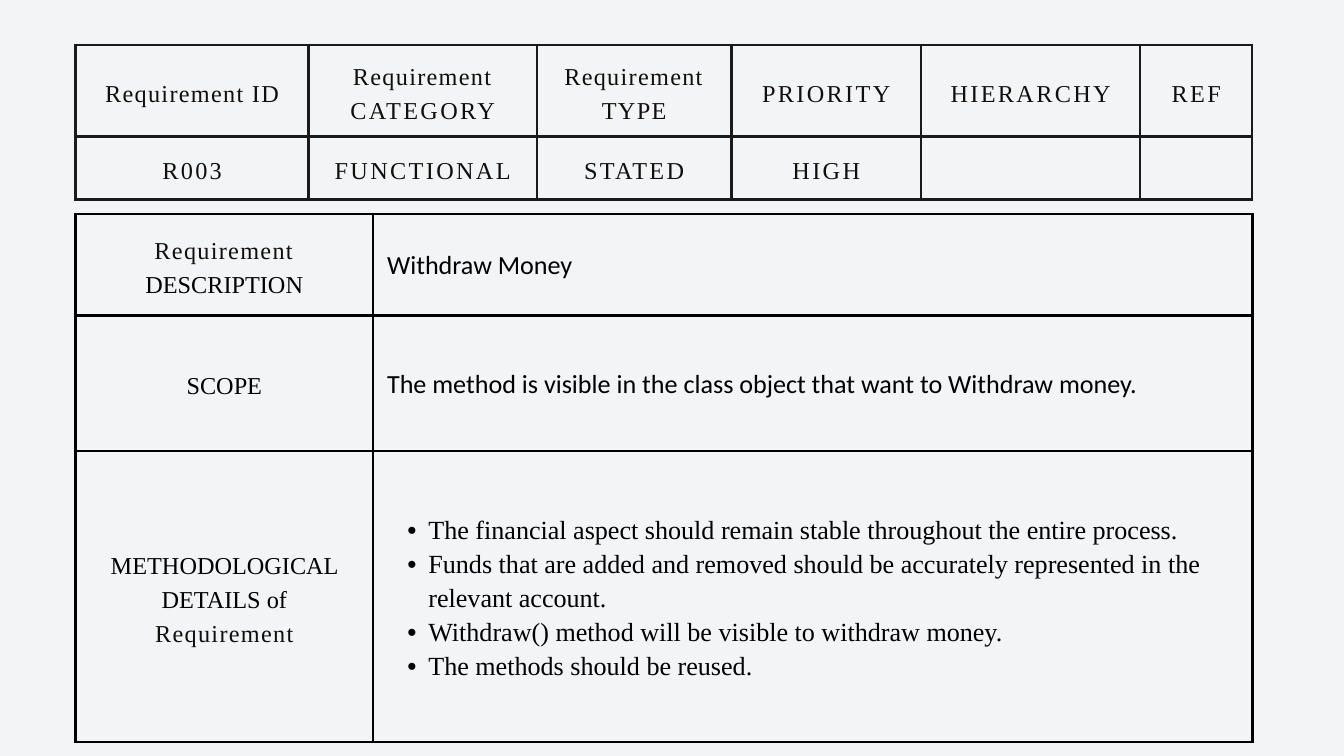
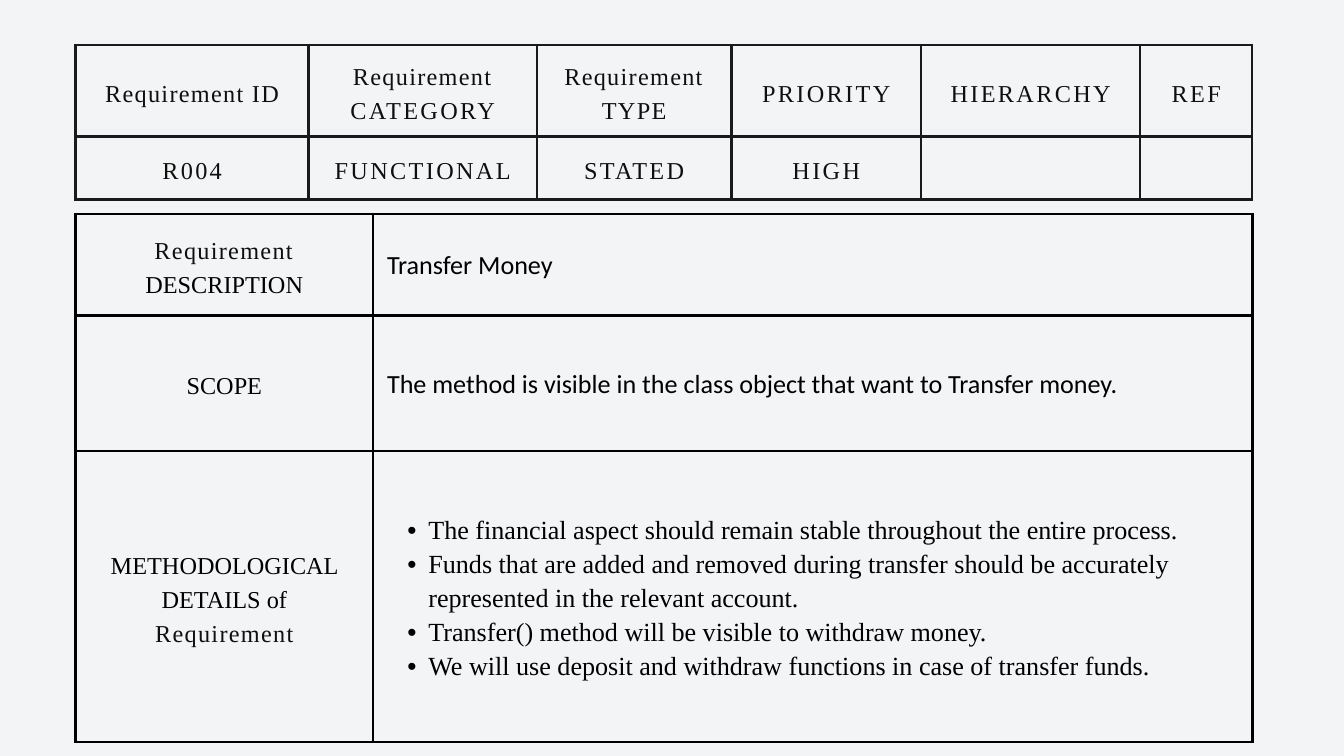
"""Build two requirement slides, each with a summary table above a details table."""
from dataclasses import dataclass

from lxml import etree
from pptx import Presentation, util as u
from pptx.dml.color import RGBColor
from pptx.enum import text
from pptx.oxml.ns import qn


@dataclass(frozen=True)
class Theme:
    """Colours, fonts and type sizes shared by the slides."""
    background: str = "F2F4F5"
    ink: str = "100F0D"
    caption: str = "010101"
    black: str = "000000"
    summary_border: str = "1A1A1A"
    border_width: int = 3
    serif: str = "Times New Roman"
    sans: str = "Calibri"
    label_size: int = 26
    body_size: int = 28
    line_spacing: float = 36.4
    word_tracking: int = 140
    caps_tracking: int = 250


THEME = Theme()
EMU_PER_PX = 9525
SLIDE_SIZE = 1920, 1080
TABLE_LEFT = 108
SUMMARY_TOP, DETAILS_TOP = 64, 306
SUMMARY_COLUMNS, SUMMARY_ROWS = (333, 326, 278, 271, 313, 160), (131, 90)
DETAILS_COLUMNS, DETAILS_ROWS = (425, 1256), (145, 193, 416)
SUMMARY_INSET, DETAILS_INSET = 12, 20
BULLET_MARGIN, BULLET_HANG = 59, 30

REQUIREMENTS = (
    ("R003", "Withdraw Money",
     "The method is visible in the class object that want to Withdraw money.",
     ("The financial aspect should remain stable throughout the entire process.",
      "Funds that are added and removed should be accurately represented in the relevant account.",
      "Withdraw() method will be visible to withdraw money.",
      "The methods should be reused.")),
    ("R004", "Transfer Money",
     "The method is visible in the class object that want to Transfer money.",
     ("The financial aspect should remain stable throughout the entire process.",
      "Funds that are added and removed during transfer should be accurately represented in the relevant account.",
      "Transfer() method will be visible to withdraw money.",
      "We will use deposit and withdraw functions in case of transfer funds.")),
)


def px(length):
    """Turn px into EMU."""
    return u.Emu(length * EMU_PER_PX)


def words(content):
    """Describe a run in lightly tracked ink."""
    return content, THEME.ink, THEME.word_tracking


def caps(content):
    """Describe a run in widely tracked ink."""
    return content, THEME.ink, THEME.caps_tracking


def plain(content, colour=THEME.black):
    """Describe a run without tracking."""
    return content, colour, 0


def add_border(cell, colour):
    """Draw the four borders of a cell."""
    properties = cell._tc.get_or_add_tcPr()
    for side in ("a:lnL", "a:lnR", "a:lnT", "a:lnB"):
        line = etree.SubElement(properties, qn(side), w=str(u.Pt(THEME.border_width)))
        fill = etree.SubElement(line, qn("a:solidFill"))
        etree.SubElement(fill, qn("a:srgbClr"), val=colour)


def add_table(slide, top, columns, rows, inset, border):
    """Add an unfilled, bordered table and return it."""
    table = slide.shapes.add_table(len(rows), len(columns), px(TABLE_LEFT), px(top),
                                   px(sum(columns)), px(sum(rows))).table
    table.first_row = table.horz_banding = False
    for column, width in zip(table.columns, columns):
        column.width = px(width)
    for row, height in zip(table.rows, rows):
        row.height = px(height)
    for cell in table.iter_cells():
        cell.margin_left = cell.margin_right = px(inset)
        cell.margin_top = cell.margin_bottom = px(inset)
        cell.vertical_anchor = text.MSO_ANCHOR.MIDDLE
        add_border(cell, border)
        cell.fill.background()
    return table


def write_paragraph(paragraph, runs, font=THEME.serif, size=THEME.label_size,
                    align=text.PP_ALIGN.CENTER):
    """Write runs into a paragraph with one font and size."""
    paragraph.alignment = align
    paragraph.line_spacing = u.Pt(THEME.line_spacing)
    paragraph.font.name = font
    paragraph.font.size = u.Pt(size)
    for content, colour, tracking in runs:
        run = paragraph.add_run()
        run.text = content
        run.font.color.rgb = RGBColor.from_string(colour)
        run._r.get_or_add_rPr().set("spc", str(tracking))


def write_label(cell, *runs):
    """Write a centred label."""
    write_paragraph(cell.text_frame.paragraphs[0], runs)


def write_body(paragraph, content, font=THEME.sans):
    """Write a left-aligned statement."""
    write_paragraph(paragraph, [plain(content)], font, THEME.body_size, text.PP_ALIGN.LEFT)


def write_bullets(cell, items):
    """Write a bulleted list."""
    frame = cell.text_frame
    for index, item in enumerate(items):
        paragraph = frame.add_paragraph() if index else frame.paragraphs[0]
        paragraph.level = 1
        properties = paragraph._p.get_or_add_pPr()
        properties.set("marL", str(px(BULLET_MARGIN)))
        properties.set("indent", str(px(-BULLET_HANG)))
        write_body(paragraph, item, THEME.serif)
        bullet_font = etree.Element(qn("a:buFont"), typeface="Arial")
        bullet = etree.Element(qn("a:buChar"), char="•")
        defaults = properties.find(qn("a:defRPr"))
        defaults.addprevious(bullet_font)
        defaults.addprevious(bullet)


def add_summary(slide, identifier):
    """Add the table of requirement attributes."""
    table = add_table(slide, SUMMARY_TOP, SUMMARY_COLUMNS, SUMMARY_ROWS,
                      SUMMARY_INSET, THEME.summary_border)
    headings = ([words("Requirement ID")],
                [words("Requirement "), caps("CATEGORY")],
                [words("Requirement TYPE")],
                [caps("PRIORITY")], [caps("HIERARCHY")], [caps("REF")])
    for column, runs in enumerate(headings):
        write_label(table.cell(0, column), *runs)
    for column, value in enumerate((identifier, "FUNCTIONAL", "STATED", "HIGH")):
        write_label(table.cell(1, column), caps(value))


def add_details(slide, description, scope, methods):
    """Add the table of description, scope and method details."""
    table = add_table(slide, DETAILS_TOP, DETAILS_COLUMNS, DETAILS_ROWS,
                      DETAILS_INSET, THEME.black)
    labels = ([words("Requirement "), plain("DESCRIPTION", THEME.caption)],
              [plain("SCOPE")],
              [plain("METHODOLOGICAL DETAILS of "), words("Requirement")])
    for row, runs in enumerate(labels):
        write_label(table.cell(row, 0), *runs)
    for row, content in enumerate((description, scope)):
        write_body(table.cell(row, 1).text_frame.paragraphs[0], content)
    write_bullets(table.cell(2, 1), methods)


def main():
    """Build and save the presentation."""
    presentation = Presentation()
    presentation.slide_width, presentation.slide_height = map(px, SLIDE_SIZE)
    background = presentation.slide_master.background.fill
    background.solid()
    background.fore_color.rgb = RGBColor.from_string(THEME.background)
    for identifier, description, scope, methods in REQUIREMENTS:
        slide = presentation.slides.add_slide(presentation.slide_layouts[6])
        add_summary(slide, identifier)
        add_details(slide, description, scope, methods)
    presentation.save("out.pptx")


if __name__ == "__main__":
    main()
